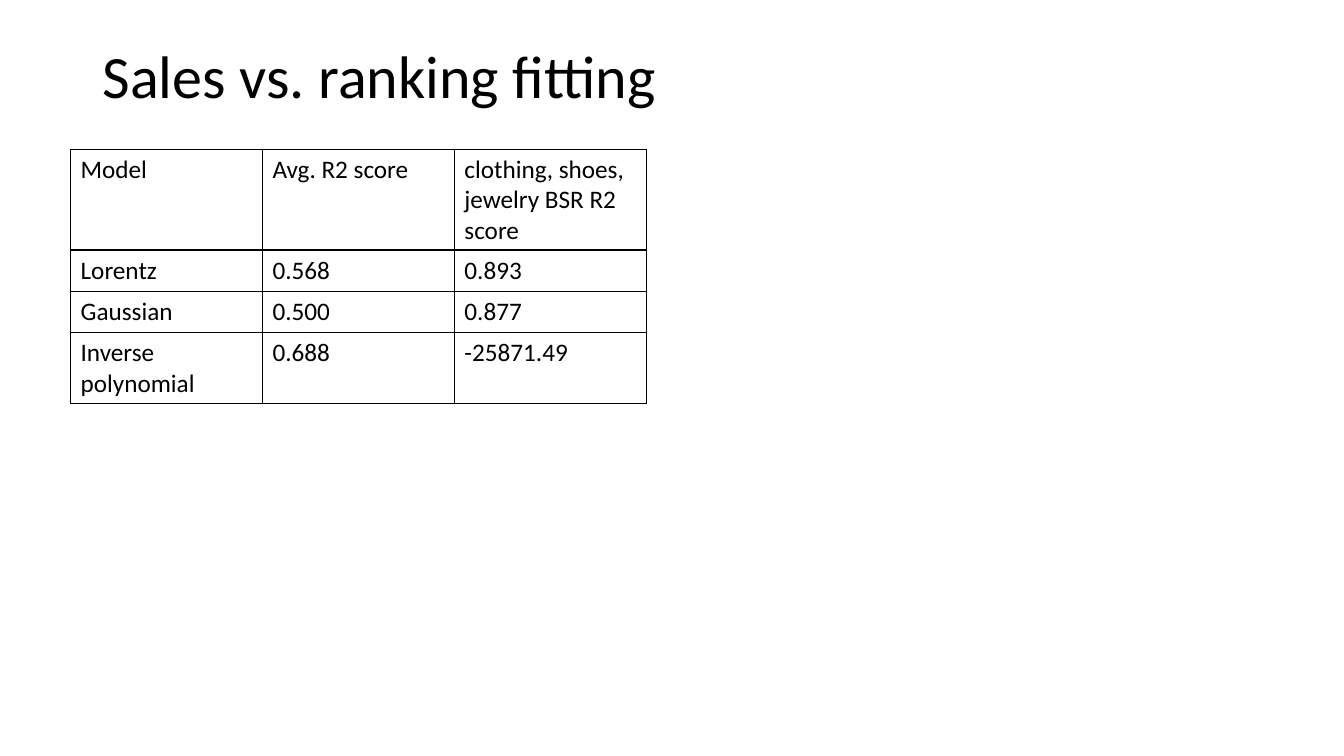
from typing import NamedTuple

from lxml.etree import SubElement
from pptx import Presentation
from pptx.dml.color import RGBColor
from pptx.enum.text import MSO_ANCHOR
from pptx.oxml.ns import qn
from pptx.util import Inches, Pt

FONT = "Calibri"
BLACK = "000000"
BORDER_POINTS = 1


class ModelScore(NamedTuple):
    model: str
    average: str
    clothing: str


SCORES = [
    ModelScore("Model", "Avg. R2 score", "clothing, shoes, jewelry BSR R2 score"),
    ModelScore("Lorentz", "0.568", "0.893"),
    ModelScore("Gaussian", "0.500", "0.877"),
    ModelScore("Inverse polynomial", "0.688", "-25871.49"),
]


def color(value: str) -> RGBColor:
    return RGBColor.from_string(value)


def write_text(text_frame, text: str, size: float) -> None:
    text_frame.text = text
    for span in text_frame.paragraphs[0].runs:
        span.font.name = FONT
        span.font.size = Pt(size)
        span.font.color.rgb = color(BLACK)


def add_borders(cell) -> None:
    properties = cell._tc.get_or_add_tcPr()
    for index, side in enumerate(("lnL", "lnR", "lnT", "lnB")):
        line = SubElement(properties, qn(f"a:{side}"), w=str(Pt(BORDER_POINTS)))
        fill = SubElement(line, qn("a:solidFill"))
        SubElement(fill, qn("a:srgbClr"), val=BLACK)
        properties.insert(index, line)  # borders come before the cell fill


def add_title(page, text: str) -> None:
    box = page.shapes.add_textbox(Inches(0.92), Inches(0.4), Inches(11.5), Inches(0.76))
    frame = box.text_frame
    frame.word_wrap = True
    frame.vertical_anchor = MSO_ANCHOR.MIDDLE
    write_text(frame, text, 42.9)
    frame.paragraphs[0].line_spacing = 0.9


def add_score_table(page, scores: list[ModelScore]) -> None:
    columns = len(ModelScore._fields)
    row_height = Inches(0.41)
    table = page.shapes.add_table(
        len(scores), columns, Inches(0.7), Inches(1.48),
        Inches(5.71), row_height * len(scores),
    ).table
    table.first_row = False
    table.horz_banding = False
    for row, score in zip(table.rows, scores):
        row.height = row_height
        for cell, text in zip(row.cells, score):
            write_text(cell.text_frame, text, 18)
            cell.fill.background()
            add_borders(cell)


def main() -> None:
    deck = Presentation()
    deck.slide_width = Inches(13.33)
    deck.slide_height = Inches(7.5)
    page = deck.slides.add_slide(deck.slide_layouts[6])
    add_title(page, "Sales vs. ranking fitting")
    add_score_table(page, SCORES)
    deck.save("out.pptx")


if __name__ == "__main__":
    main()
